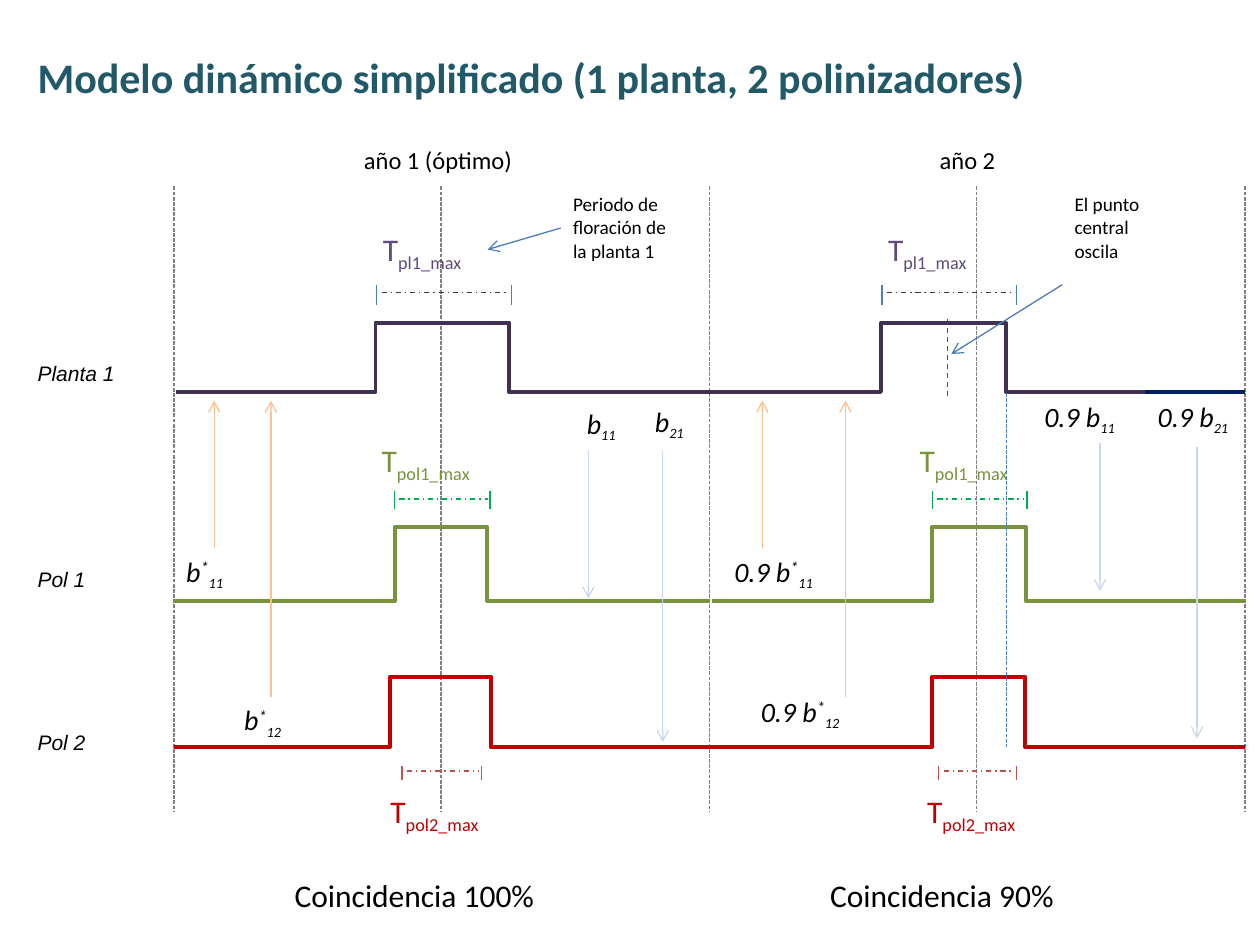
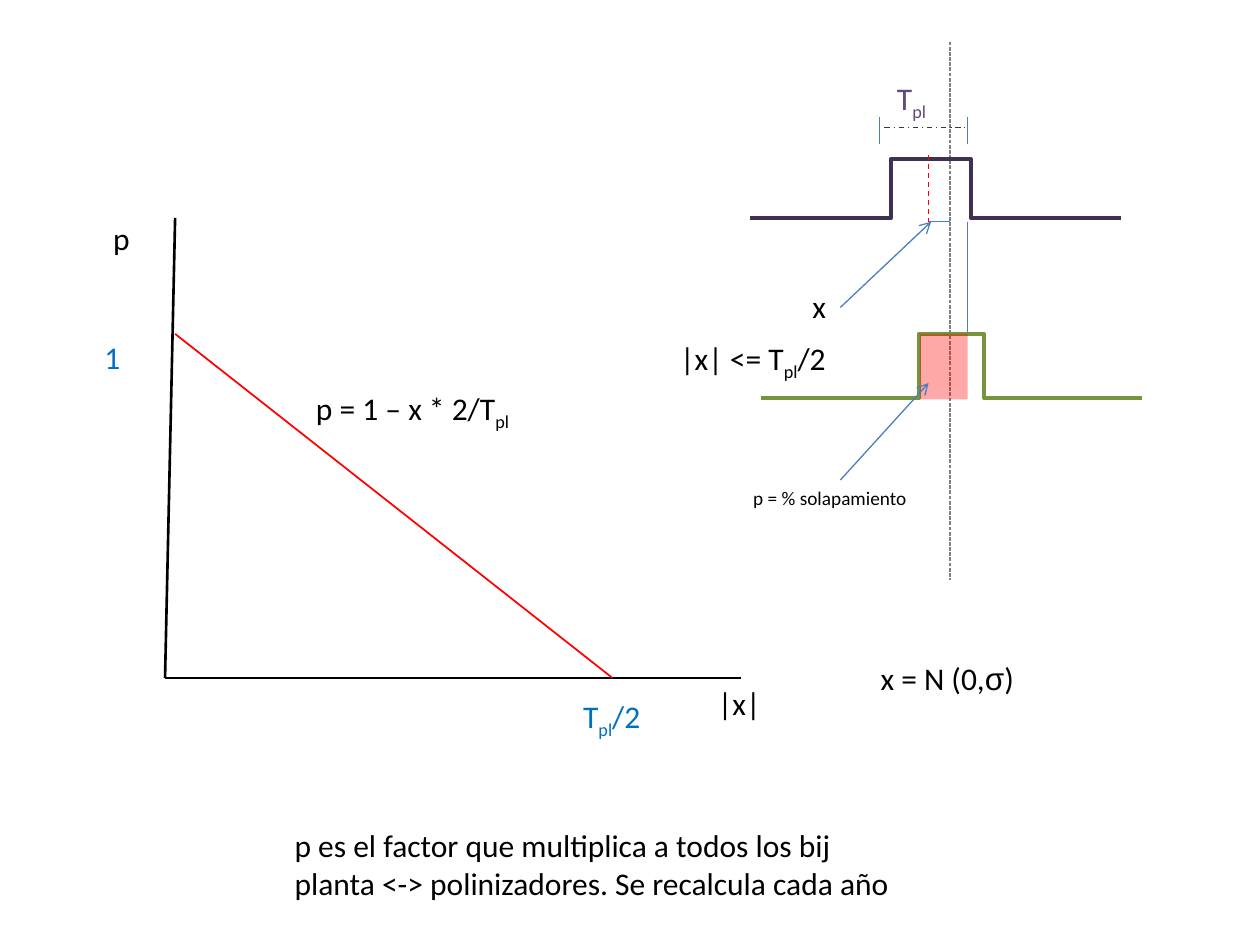
import dataclasses

import pptx
import pptx.dml.color
import pptx.enum.dml
import pptx.enum.shapes
import pptx.enum.text
import pptx.oxml
import pptx.oxml.ns
import pptx.util
from lxml import etree

Inches = pptx.util.Inches
qn = pptx.oxml.ns.qn
DASH = pptx.enum.dml.MSO_LINE
CONNECTOR = pptx.enum.shapes.MSO_CONNECTOR


@dataclasses.dataclass(frozen=True)
class Theme:
    font: str = "Calibri"
    row_font: str = "Arial"
    # type sizes
    title: int = 24
    body: int = 18
    formula: int = 16
    small: int = 14
    row: int = 12
    note: int = 11
    # colours
    heading: str = "215968"
    black: str = "000000"
    grid: str = "808080"
    plant: str = "403152"
    plant_text: str = "604A7B"
    pol1: str = "77933C"
    pol1_span: str = "00B050"
    pol2: str = "C00000"
    pol2_span: str = "C0504D"
    blue: str = "4B7EBC"
    navy: str = "002060"
    value: str = "0070C0"
    to_plant: str = "FAC090"
    to_pollinator: str = "C8D7EA"
    red: str = "FF0000"


T = Theme()


def rgb(value):
    return pptx.dml.color.RGBColor.from_string(value)


def sub(text, size=None):
    return text, -25000, size


def sup(text):
    return text, 30000, None


class Region:
    """Draws parts at inches measured from its own top left corner."""

    def __init__(self, shapes, left=0, top=0):
        self.shapes, self.left, self.top = shapes, left, top

    def place(self, x, y):
        return Inches(round(self.left + x, 2)), Inches(round(self.top + y, 2))

    def line(self, start, end, color, width=0.75, dash=None, arrow=False,
             kind=CONNECTOR.STRAIGHT):
        c = self.shapes.add_connector(kind, *self.place(*start), *self.place(*end))
        c.line.color.rgb = rgb(color)
        c.line.width = pptx.util.Pt(width)
        if dash:
            c.line.dash_style = dash
        sp_pr = c._element.spPr
        if arrow:
            etree.SubElement(sp_pr.find(qn("a:ln")), qn("a:tailEnd"), type="arrow")
        etree.SubElement(sp_pr, qn("a:effectLst"))
        return c

    def pulse(self, start, rise, fall, end, top, base, color):
        """A step up and down, made of two elbows that meet in the middle."""
        middle = (start + end) / 2
        for step, foot in ((rise, start), (fall, end)):
            c = self.line((middle, top), (foot, base), color, 2.25,
                          kind=CONNECTOR.ELBOW)
            bend = round((step - middle) / (foot - middle) * 100000)
            guides = c._element.spPr.find(qn("a:prstGeom")).find(qn("a:avLst"))
            etree.SubElement(guides, qn("a:gd"), name="adj1", fmla=f"val {bend}")

    def span(self, left, right, y, tick, color, tick_color):
        """A dash-dot measure between two ticks."""
        group = Region(self.shapes.add_group_shape().shapes, self.left, self.top)
        group.line((left + 0.04, y), (right - 0.02, y), color, dash=DASH.DASH_DOT)
        for x in (left, right):
            group.line((x, y - 0.4 * tick), (x, y + 0.6 * tick), tick_color)

    def text(self, x, y, w, h, runs, size=T.body, color=T.black, font=T.font,
             bold=False, italic=False, wrap=True):
        """Runs are strings or (text, baseline, size[, font])."""
        sp = self.shapes.add_textbox(*self.place(x, y), Inches(w), Inches(h))
        tf = sp.text_frame
        tf.word_wrap = wrap
        tf.auto_size = pptx.enum.text.MSO_AUTO_SIZE.SHAPE_TO_FIT_TEXT
        p = tf.paragraphs[0]
        p.font.name, p.font.size = font, pptx.util.Pt(size)
        p.font.bold, p.font.italic = bold, italic
        p.font.color.rgb = rgb(color)
        for run in [runs] if isinstance(runs, str) else runs:
            words, baseline, run_size, *run_font = (
                (run, None, None) if isinstance(run, str) else run)
            r = p.add_run()
            r.text = words
            if baseline:
                r.font._element.set("baseline", str(baseline))
            if run_size:
                r.font.size = pptx.util.Pt(run_size)
            if run_font:
                r.font.name = run_font[0]


@dataclasses.dataclass(frozen=True)
class Species:
    name: str
    name_y: float
    top: float
    base: float
    color: str
    period: str
    period_color: str
    period_dx: float
    period_y: float
    span_y: float
    tick: float
    span_color: str
    tick_color: str


SPECIES = [
    Species("Planta 1", 1.33, 1.08, 1.63, T.plant, "pl1_max", T.plant_text,
            -0.05, 0.3, 0.84, 0.16, T.plant, T.blue),
    Species("Pol 1", 2.97, 2.7, 3.29, T.pol1, "pol1_max", T.pol1,
            -0.2, 1.97, 2.48, 0.14, T.pol1_span, T.pol1_span),
    Species("Pol 2", 4.26, 3.89, 4.45, T.pol2, "pol2_max", T.pol2,
            -0.19, 4.76, 4.64, 0.11, T.pol2_span, T.pol2_span),
]

# Per year: pulses as (start, rise, fall, end), spans as (left, right),
# benefits as (index, starred, label x, label y, arrow x, arrow from, arrow to)
YEARS = [
    dict(name="año 1 (óptimo)", name_x=1.41, match="Coincidencia 100%", factor="",
         pulses=[(0.02, 1.6, 2.66, 4.24), (0, 1.76, 2.49, 4.25), (0, 1.72, 2.52, 4.25)],
         spans=[(1.61, 2.68), (1.75, 2.51), (1.81, 2.44)],
         benefits=[("11", False, 3.18, 1.7, 3.29, 2.1, 3.27),
                   ("21", False, 3.72, 1.68, 3.88, 2.1, 4.41),
                   ("11", True, 0, 2.87, 0.32, 2.87, 1.7),
                   ("12", True, 0.46, 4.05, 0.77, 4.05, 1.7)],
         note="Periodo de floración de la planta 1", note_x=3.07,
         pointer=((3.07, 0.33), (2.49, 0.5))),
    dict(name="año 2", name_x=1.73, match="Coincidencia 90%", factor="0.9 ",
         pulses=[(-0.21, 1.36, 2.35, 4.03), (0.02, 1.77, 2.51, 4.26),
                 (0, 1.77, 2.51, 4.25)],
         spans=[(1.37, 2.44), (1.77, 2.52), (1.82, 2.44)],
         benefits=[("11", False, 2.56, 1.64, 3.1, 2.04, 3.21),
                   ("21", False, 3.46, 1.64, 3.87, 2.07, 4.38),
                   ("11", True, 0.1, 2.87, 0.42, 2.87, 1.7),
                   ("12", True, 0.31, 3.98, 1.08, 4.05, 1.7)],
         note="El punto central oscila", note_x=2.8,
         pointer=((2.8, 0.78), (1.92, 1.33))),
]


def draw_frame(shapes, left, top, year_width):
    """Half-year grid lines and the names of the rows."""
    frame = Region(shapes, left, top)
    for i in range(2 * len(YEARS) + 1):
        x = i * year_width / 2
        frame.line((x, 0), (x, 4.96), T.grid, dash=DASH.SQUARE_DOT)
    for s in SPECIES:
        frame.text(-1.18, s.name_y, 1.18, 0.3, s.name, T.row, font=T.row_font,
                   italic=True)


def draw_year(shapes, left, top, year):
    area = Region(shapes, left, top)
    area.text(year["name_x"], -0.38, 1.66, 0.34, year["name"], T.small)
    area.text(0.86, 5.42, 2.86, 0.4, year["match"])

    # Activity of each species and its longest period
    for s, pulse, span in zip(SPECIES, year["pulses"], year["spans"]):
        area.pulse(*pulse, s.top, s.base, s.color)
        area.span(*span, s.span_y, s.tick, s.span_color, s.tick_color)
        area.text(span[0] + s.period_dx, s.period_y, 1.18, 0.4,
                  ["T", sub(s.period)], color=s.period_color)

    # Benefits between plant and pollinators
    width = 1.06 if year["factor"] else 0.63
    for index, starred, x, y, arrow_x, y_from, y_to in year["benefits"]:
        star = [sup("*")] if starred else []
        area.text(x, y, width, 0.37, [year["factor"] + "b", *star, sub(index, T.small)],
                  T.formula, italic=True)
        area.line((arrow_x, y_from), (arrow_x, y_to),
                  T.to_plant if starred else T.to_pollinator, arrow=True)

    # Note with its pointer
    area.text(year["note_x"], 0, 0.97, 0.66, year["note"], T.note)
    area.line(*year["pointer"], T.blue, arrow=True)


def draw_shift(shapes, left, top):
    """Marks of the displaced flowering in the second year."""
    area = Region(shapes, left, top)
    area.line((3.46, 1.63), (4.25, 1.63), T.navy, 2.25)
    area.line((1.89, 1.05), (1.89, 1.67), T.red, dash=DASH.DASH)
    area.line((2.36, 1.64), (2.36, 4.45), T.blue, dash=DASH.SQUARE_DOT)


def build_model_slide(slide):
    left, top, year_width = 1.38, 1.48, 4.25
    Region(slide.shapes).text(
        0.2, 0.36, 9.14, 0.5, "Modelo dinámico simplificado (1 planta, 2 polinizadores)",
        T.title, T.heading, bold=True)
    draw_frame(slide.shapes, left, top, year_width)
    for i, year in enumerate(YEARS):
        draw_year(slide.shapes, left + i * year_width, top, year)
    draw_shift(slide.shapes, left + year_width, top)


def draw_overlap_plot(shapes, left, top):
    """Overlap p against displacement |x|."""
    plot = Region(shapes, left, top)
    plot.line((0.66, 0.04), (0.58, 3.69), T.black, 1.5)
    plot.line((0.58, 3.69), (5.15, 3.69), T.black, 1.5)
    plot.line((0.66, 0.96), (4.13, 3.69), T.red, 1)
    plot.text(0.07, 0, 0.47, 0.4, "p")
    plot.text(0, 0.94, 0.33, 0.4, "1", color=T.value, wrap=False)
    plot.text(1.68, 1.35, 1.97, 0.4, ["p = 1 – x * 2/T", sub("pl")])
    plot.text(3.8, 3.79, 0.66, 0.4, ["T", sub("pl"), "/2"], color=T.value, wrap=False)
    plot.text(4.87, 3.69, 0.54, 0.4, "|x|", wrap=False)


def draw_overlap_scheme(shapes, left, top):
    """Flowering pulse, pollinator pulse and the time they share."""
    scheme = Region(shapes, left, top)
    scheme.line((1.59, 0), (1.59, 4.27), T.grid, dash=DASH.SQUARE_DOT)
    scheme.pulse(0, 1.12, 1.75, 2.95, 0.93, 1.4, T.plant)
    scheme.line((1.42, 0.9), (1.42, 1.43), T.red, dash=DASH.DASH)
    scheme.pulse(0.09, 1.34, 1.86, 3.11, 2.32, 2.83, T.pol1)
    scheme.span(1.03, 1.73, 0.68, 0.21, T.plant, T.blue)
    scheme.text(1.07, 0.25, 1.18, 0.4, ["T", sub("pl")], color=T.plant_text)

    # Shared time, see-through
    sp = shapes.add_shape(pptx.enum.shapes.MSO_SHAPE.RECTANGLE,
                          *scheme.place(1.35, 2.32), Inches(0.38), Inches(0.52))
    sp.shadow.inherit = False
    sp.fill.solid()
    sp.fill.fore_color.rgb = rgb(T.red)
    sp.line.fill.background()
    tint = sp._element.spPr.find(qn("a:solidFill")).find(qn("a:srgbClr"))
    etree.SubElement(tint, qn("a:alpha"), val="34000")

    # Displacement and end of flowering
    scheme.line((1.42, 1.43), (1.59, 1.43), T.blue)
    scheme.line((1.73, 1.43), (1.73, 2.31), T.blue)
    for start, end in (((0.72, 2.11), (1.44, 1.43)), ((0.72, 3.48), (1.42, 2.71))):
        scheme.line(start, end, T.blue, arrow=True)
    scheme.text(0.4, 1.9, 0.63, 0.4, "x")
    scheme.text(-0.65, 2.31, 1.37, 0.4, ["|x| <= T", sub("pl"), "/2"], wrap=False)
    scheme.text(-0.07, 3.48, 2.43, 0.29, "p = % solapamiento", T.note)


def build_overlap_slide(slide):
    draw_overlap_plot(slide.shapes, 0.73, 1.69)
    draw_overlap_scheme(slide.shapes, 5.95, 0.33)
    page = Region(slide.shapes)
    page.text(6.89, 5.18, 1.45, 0.4, ["x = N (0,", ("σ", None, None, T.row_font), ")"])
    page.text(2.24, 6.51, 5.14, 0.71, "p es el factor que multiplica a todos los bij "
              "planta <-> polinizadores. Se recalcula cada año")


def main():
    prs = pptx.Presentation()
    prs.slide_width, prs.slide_height = Inches(10), Inches(7.5)
    for build in (build_model_slide, build_overlap_slide):
        build(prs.slides.add_slide(prs.slide_layouts[6]))
    prs.save("out.pptx")


if __name__ == "__main__":
    main()
